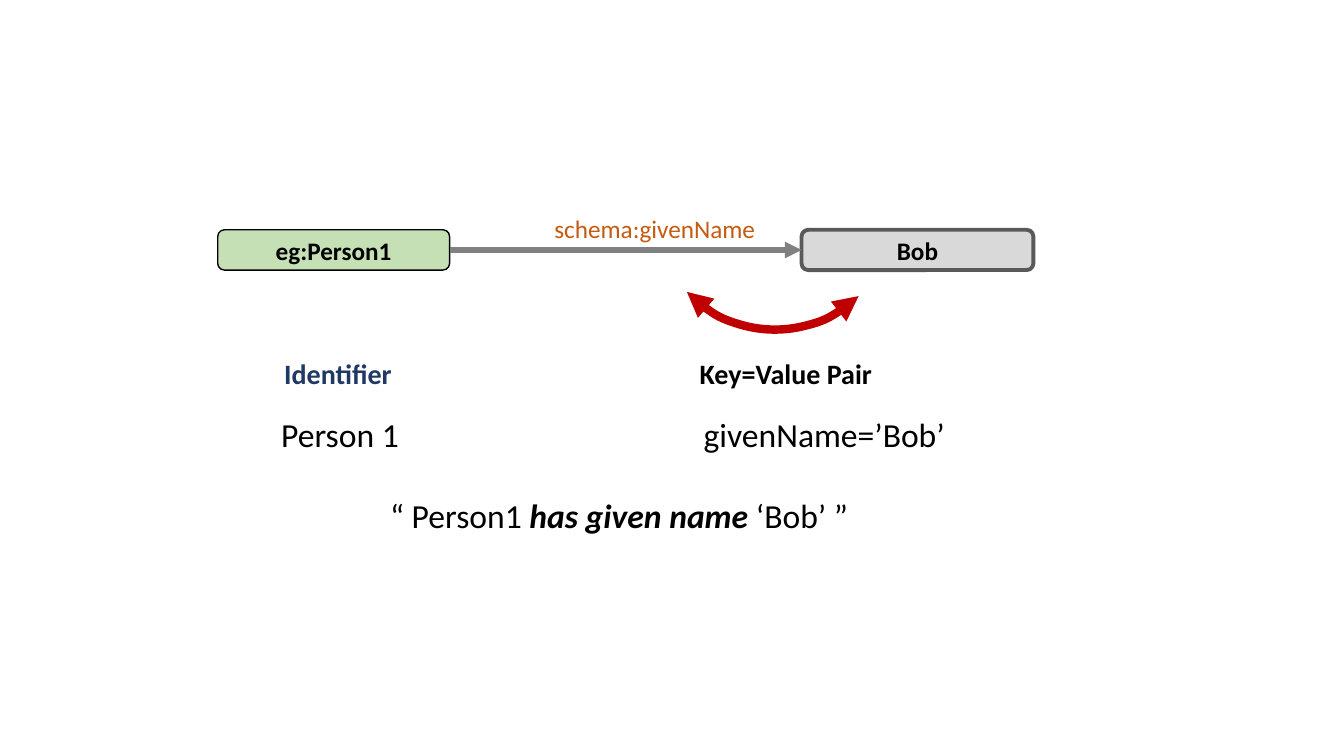
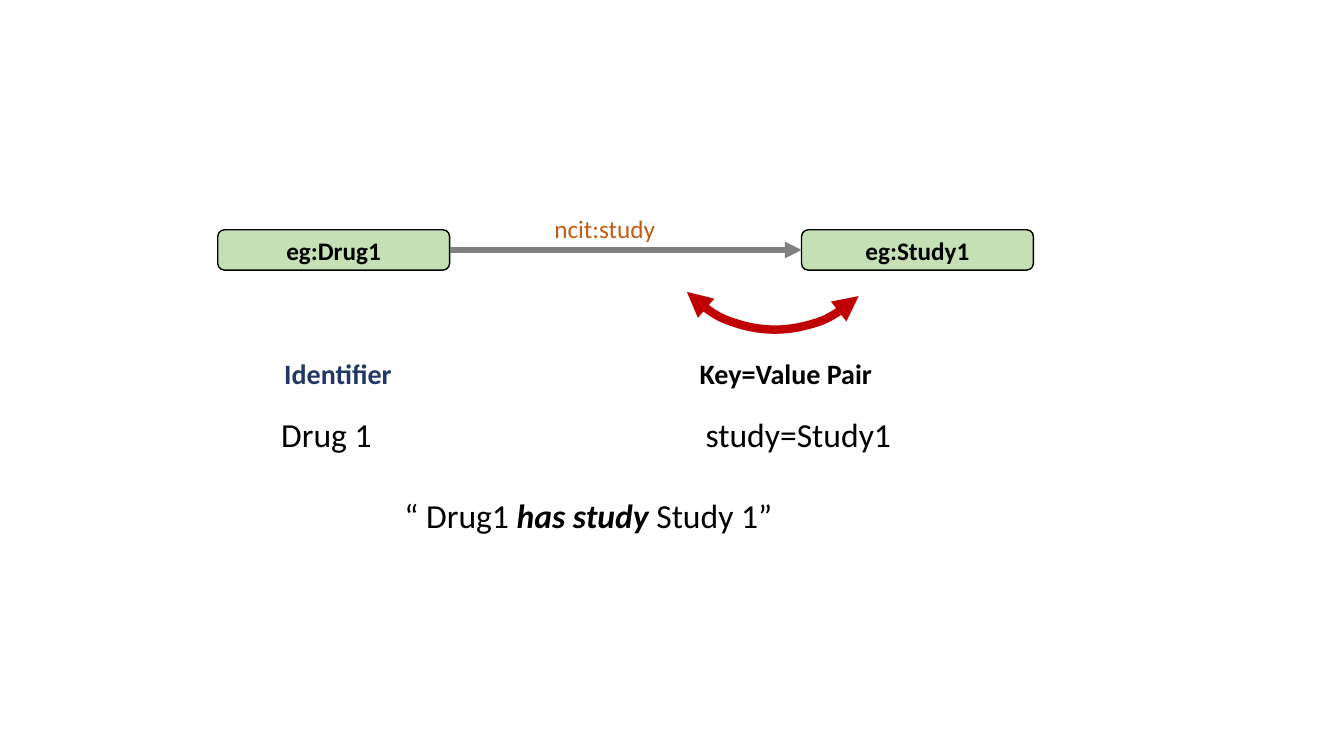
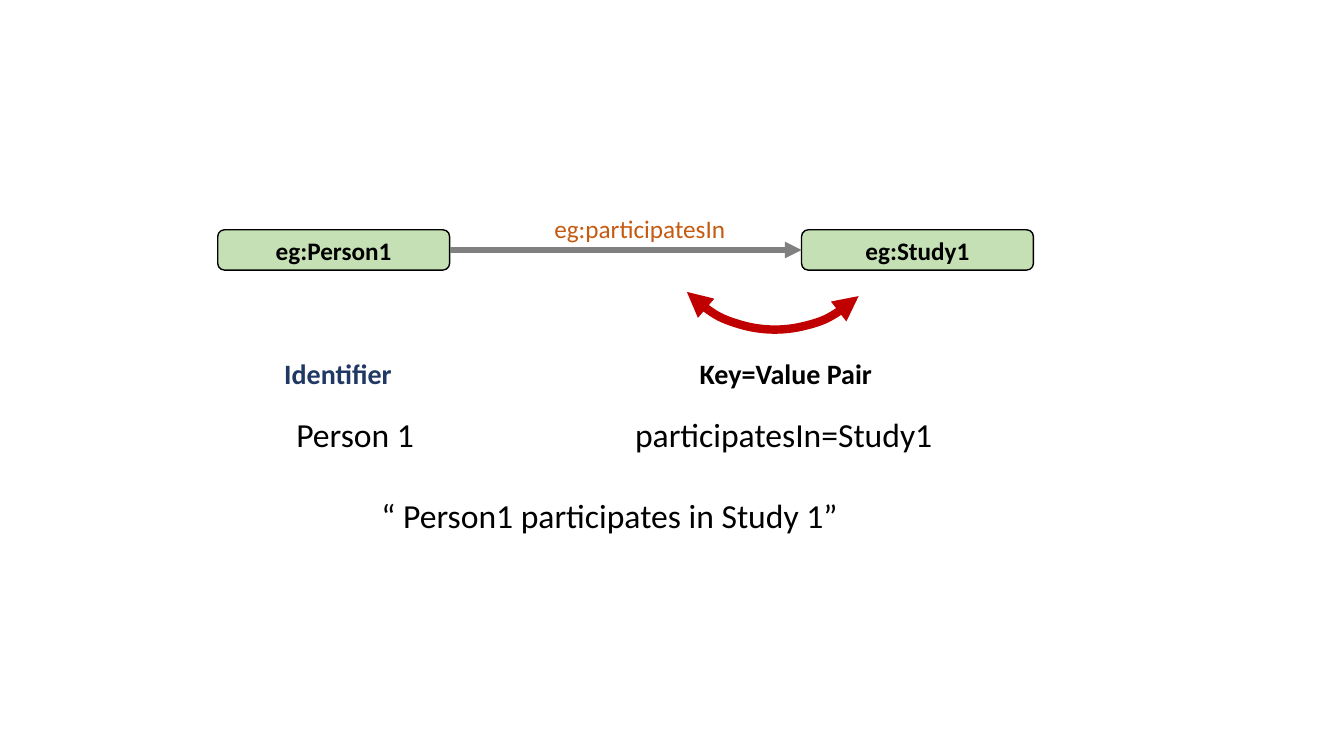
from pptx import Presentation
from pptx.dml.color import RGBColor
from pptx.enum.shapes import MSO_CONNECTOR, MSO_SHAPE
from pptx.enum.text import MSO_ANCHOR, MSO_AUTO_SIZE, PP_ALIGN
from pptx.oxml.ns import qn
from pptx.util import Inches, Pt
from lxml.etree import SubElement

FONT = "Calibri"
BLACK = RGBColor(0x00, 0x00, 0x00)
NAVY = RGBColor(0x20, 0x38, 0x64)
ORANGE = RGBColor(0xC5, 0x5A, 0x11)
RED = RGBColor(0xC0, 0x00, 0x00)
GREEN = RGBColor(0xC5, 0xE0, 0xB4)
LIGHT_GRAY = RGBColor(0xD9, 0xD9, 0xD9)
MID_GRAY = RGBColor(0x80, 0x80, 0x80)
DARK_GRAY = RGBColor(0x59, 0x59, 0x59)

RESOURCE = (GREEN, BLACK, 1)
LITERAL = (LIGHT_GRAY, DARK_GRAY, 2.75)

TRIPLES = [
    dict(subject="eg:Person1", predicate="schema:givenName",
         target="Bob", target_style=LITERAL,
         pair="Person 1\tgivenName=’Bob’", tabs=[4.19], width=6.9,
         sentence=["“ Person1 ", "has given name", " ‘Bob’ ”"]),
    dict(subject="eg:Drug1", predicate="ncit:study",
         target="eg:Study1", target_style=RESOURCE,
         pair="Drug 1\tstudy=Study1", tabs=[4.21], width=6.29,
         sentence=["“ Drug1 ", "has study ", "Study 1”"]),
    dict(subject="eg:Person1", predicate="eg:participatesIn",
         target="eg:Study1", target_style=RESOURCE,
         pair="\tPerson 1\tparticipatesIn=Study1", tabs=[0.15, 3.51], width=6.71,
         sentence=["“ Person1 participates in Study 1”"]),
]


def write(paragraph, *texts, size=18, color=BLACK, bold=False, align=PP_ALIGN.LEFT):
    """Fill a paragraph with runs; every second run is bold italic."""
    paragraph.alignment = align
    for index, text in enumerate(texts):
        run = paragraph.add_run()
        run.text = text
        emphasised = index % 2 == 1
        run.font.name = FONT
        run.font.size = Pt(size)
        run.font.color.rgb = color
        run.font.bold = bold or emphasised
        run.font.italic = emphasised


def draw_arrow(shape, color, width, *ends):
    """Style a line and put triangles on the given ends."""
    shape.line.color.rgb = color
    shape.line.width = Pt(width)
    for end in ends:
        SubElement(shape.line._get_or_add_ln(), qn(f"a:{end}"), type="triangle")


deck = Presentation()
deck.slide_width = Inches(13.33)
deck.slide_height = Inches(7.5)

for triple in TRIPLES:
    slide = deck.slides.add_slide(deck.slide_layouts[6])
    shapes = slide.shapes

    for heading, left, width, color in [("Identifier", 2.72, 1.28, NAVY),
                                        ("Key=Value Pair ", 6.84, 1.99, BLACK)]:
        frame = shapes.add_textbox(Inches(left), Inches(3.49),
                                   Inches(width), Inches(0.44)).text_frame
        frame.word_wrap = False
        frame.auto_size = MSO_AUTO_SIZE.SHAPE_TO_FIT_TEXT
        write(frame.paragraphs[0], heading, size=20, color=color, bold=True)

    pair_arc = shapes.add_shape(MSO_SHAPE.ARC, Inches(6.48), Inches(0.86),
                                Inches(2.41), Inches(2.41))
    pair_arc.rotation = 136.4
    pair_arc.shadow.inherit = False
    pair_arc.fill.background()
    draw_arrow(pair_arc, RED, 6, "headEnd", "tailEnd")

    reading = shapes.add_textbox(Inches(2.69), Inches(4.06),
                                 Inches(triple["width"]), Inches(1.31)).text_frame
    reading.word_wrap = True
    reading.auto_size = MSO_AUTO_SIZE.SHAPE_TO_FIT_TEXT
    pair = reading.paragraphs[0]
    write(pair, triple["pair"], size=24)
    tab_list = SubElement(pair._p.get_or_add_pPr(), qn("a:tabLst"))
    for stop in triple["tabs"]:
        SubElement(tab_list, qn("a:tab"), pos=str(Inches(stop)), algn="l")
    sentence = reading.add_paragraph()
    sentence.space_before = Pt(29)
    write(sentence, *triple["sentence"], size=24, align=PP_ALIGN.CENTER)

    nodes = []
    for label, left, (fill, outline, weight) in [
            (triple["subject"], 2.16, RESOURCE),
            (triple["target"], 7.95, triple["target_style"])]:
        node = shapes.add_shape(MSO_SHAPE.ROUNDED_RECTANGLE, Inches(left), Inches(2.28),
                                Inches(2.3), Inches(0.4))
        node.shadow.inherit = False
        node.fill.solid()
        node.fill.fore_color.rgb = fill
        node.line.color.rgb = outline
        node.line.width = Pt(weight)
        node.text_frame.vertical_anchor = MSO_ANCHOR.MIDDLE
        write(node.text_frame.paragraphs[0], label, bold=True, align=PP_ALIGN.CENTER)
        nodes.append(node)

    link = shapes.add_connector(MSO_CONNECTOR.STRAIGHT, Inches(4.46), Inches(2.48),
                                Inches(7.95), Inches(2.48))
    link.begin_connect(nodes[0], 3)
    link.end_connect(nodes[1], 1)
    draw_arrow(link, MID_GRAY, 4, "tailEnd")
    SubElement(link._element.spPr, qn("a:effectLst"))

    predicate = shapes.add_textbox(Inches(5.4), Inches(2.07),
                                   Inches(3.14), Inches(0.4)).text_frame
    predicate.word_wrap = True
    predicate.auto_size = MSO_AUTO_SIZE.SHAPE_TO_FIT_TEXT
    write(predicate.paragraphs[0], triple["predicate"], color=ORANGE)

deck.save("out.pptx")
